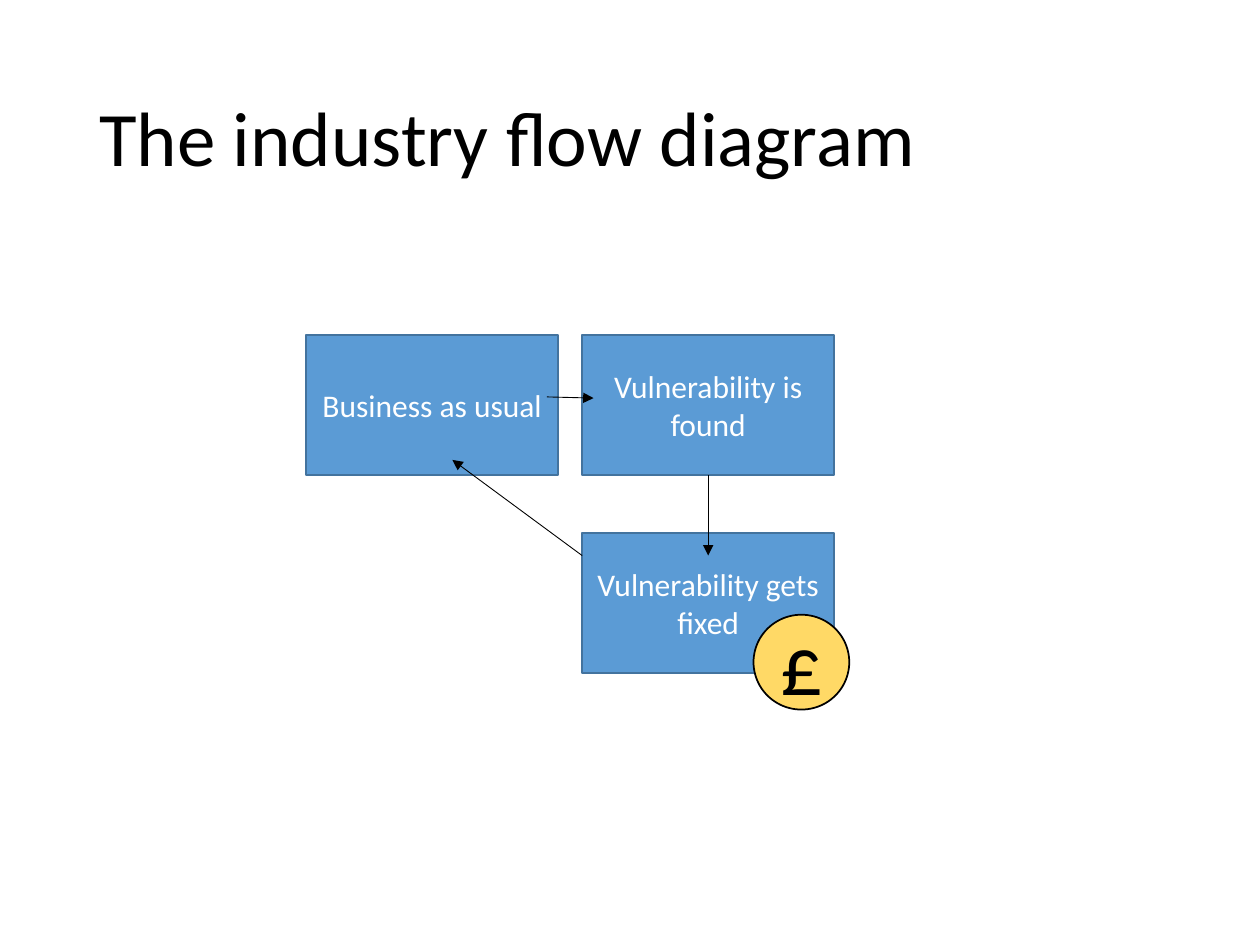
from lxml.etree import SubElement
from pptx import Presentation
from pptx.dml.color import RGBColor
from pptx.enum.shapes import MSO_CONNECTOR as CONN, MSO_SHAPE as SHAPE
from pptx.enum.text import MSO_ANCHOR as ANCHOR, PP_ALIGN as ALIGN
from pptx.oxml.ns import qn
from pptx.util import Pt

COLORS = {"box": "5B9BD5", "edge": "43739E", "coin": "FFD966",
          "black": "000000", "white": "FFFFFF"}
BOX_W, BOX_H = 144, 80
COL_STEP, ROW_STEP = 157.7, 113


def rgb(name):
    return RGBColor.from_string(COLORS[name])


def set_text(shape, text, size, color, align):
    tf = shape.text_frame
    tf.word_wrap = True
    tf.vertical_anchor = ANCHOR.MIDDLE
    p = tf.paragraphs[0]
    p.alignment = align
    r = p.add_run()
    r.text = text
    font = {"name": "Calibri", "size": Pt(size), "bold": False}
    for key, value in font.items():
        setattr(r.font, key, value)
    r.font.color.rgb = rgb(color)
    return p


def add_title(s, text, x, y, w, h):
    sp = s.shapes.title
    box = {"left": x, "top": y, "width": w, "height": h}
    for key, value in box.items():
        setattr(sp, key, Pt(value))
    p = set_text(sp, text, 44, "black", ALIGN.LEFT)
    p.line_spacing = 0.9


def add_node(s, kind, box, text, size, fill, line, color):
    sp = s.shapes.add_shape(kind, *map(Pt, box))
    sp.shadow.inherit = False
    sp.fill.solid()
    sp.fill.fore_color.rgb = rgb(fill)
    sp.line.color.rgb = rgb(line)
    sp.line.width = Pt(1)
    set_text(sp, text, size, color, ALIGN.CENTER)


def add_arrow(s, start, end):
    cn = s.shapes.add_connector(CONN.STRAIGHT, *map(Pt, start + end))
    cn.line.color.rgb = rgb("black")
    cn.line.width = Pt(0.5)
    SubElement(cn.line._get_or_add_ln(), qn("a:tailEnd"), type="triangle")
    SubElement(cn._element.spPr, qn("a:effectLst"))


def add_flow(s, x, y):
    # Steps on a grid of columns and rows
    steps = [("Business as usual", 0, 0),
             ("Vulnerability is found", 1, 0),
             ("Vulnerability gets fixed", 1, 1)]
    for text, col, row in steps:
        box = (x + col * COL_STEP, y + row * ROW_STEP, BOX_W, BOX_H)
        add_node(s, SHAPE.RECTANGLE, box, text, 18, "box", "edge", "white")

    # Arrows around the loop
    right = x + COL_STEP
    middle = right + BOX_W / 2
    fix_y = y + ROW_STEP + 13
    add_arrow(s, (x + BOX_W - 6.5, y + 35.3), (right + 6.5, y + 36))
    add_arrow(s, (middle, y + BOX_H), (middle, fix_y))
    add_arrow(s, (right, fix_y), (x + 83.5, y + BOX_H - 8.7))

    # Coin on the corner of the last step
    coin = (right + 97.9, y + ROW_STEP + 46.8, 54.7, 54.2)
    add_node(s, SHAPE.OVAL, coin, "£", 48, "coin", "black", "black")


def main():
    prs = Presentation()
    prs.slide_width, prs.slide_height = Pt(720), Pt(540)
    s = prs.slides.add_slide(prs.slide_layouts[5])
    add_title(s, "The industry flow diagram", 49.5, 28.75, 621, 104.4)
    add_flow(s, 175, 191.5)
    prs.save("out.pptx")


if __name__ == "__main__":
    main()
